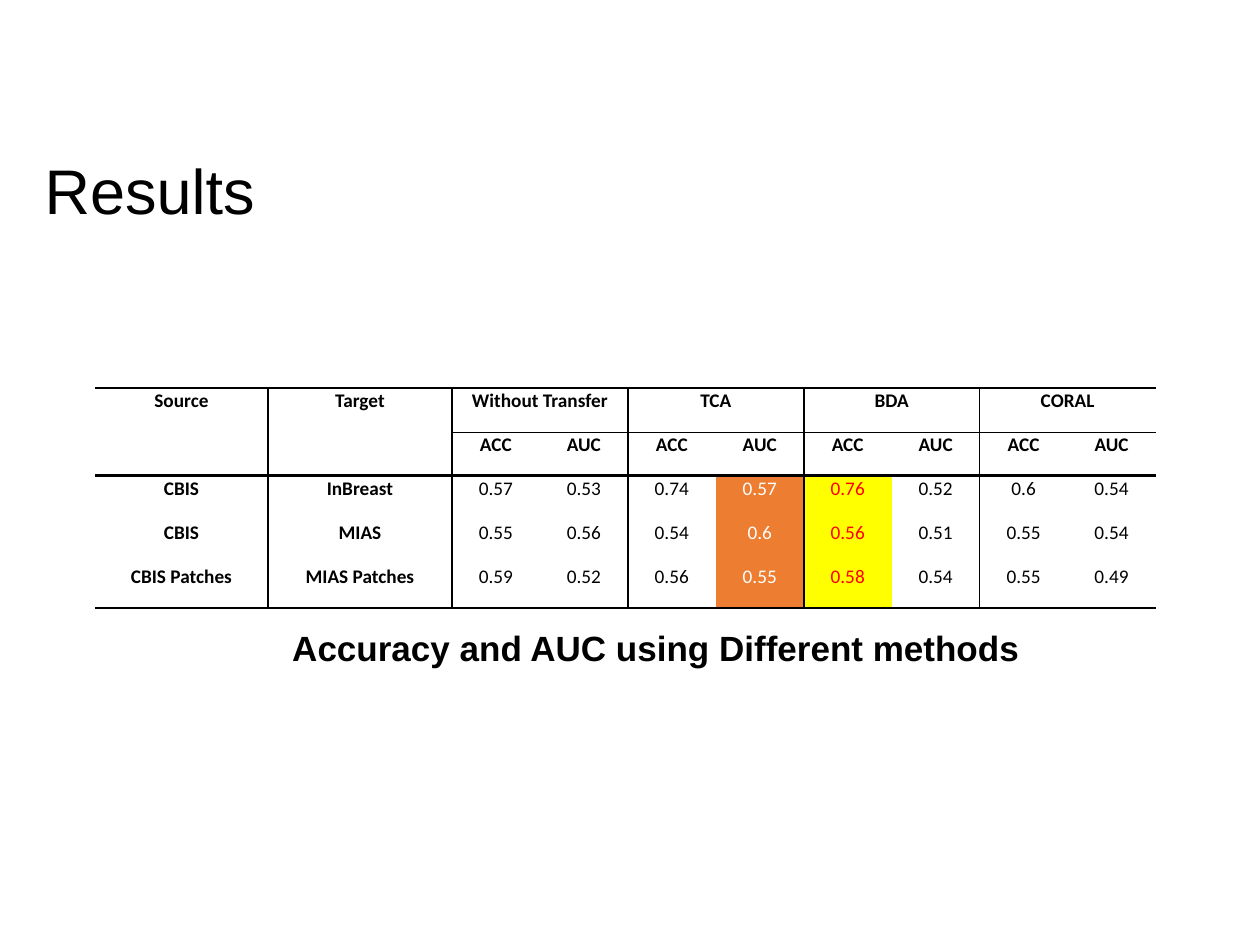
from dataclasses import dataclass

from lxml.etree import SubElement
from pptx import Presentation
from pptx.dml.color import RGBColor
from pptx.enum.text import MSO_ANCHOR, PP_ALIGN
from pptx.oxml.ns import qn
from pptx.table import Table, _Cell
from pptx.text.text import TextFrame
from pptx.util import Emu, Pt

PIXELS_PER_INCH = 126
BLACK = "000000"


@dataclass(frozen=True)
class TextStyle:
    font: str
    size: int
    color: str = BLACK
    bold: bool = False
    align: PP_ALIGN = PP_ALIGN.CENTER
    anchor: MSO_ANCHOR = MSO_ANCHOR.MIDDLE


@dataclass(frozen=True)
class Highlight:
    fill: str
    color: str


@dataclass(frozen=True)
class Result:
    source: str
    target: str
    scores: tuple[str, ...]


METHODS = ("Without Transfer", "TCA", "BDA", "CORAL")
METRICS = ("ACC", "AUC")
RESULTS = (
    Result("CBIS", "InBreast", ("0.57", "0.53", "0.74", "0.57", "0.76", "0.52", "0.6", "0.54")),
    Result("CBIS", "MIAS", ("0.55", "0.56", "0.54", "0.6", "0.56", "0.51", "0.55", "0.54")),
    Result("CBIS Patches", "MIAS Patches",
           ("0.59", "0.52", "0.56", "0.55", "0.58", "0.54", "0.55", "0.49")),
)
HEADER_ROWS = 2
LABEL_COLUMNS = 2
COLUMN_WIDTHS = (173, 184) + (88,) * len(METHODS) * len(METRICS)
ROW_HEIGHTS = (44,) * (HEADER_ROWS + len(RESULTS))
HIGHLIGHTS = {5: Highlight("ED7D31", "FFFFFF"), 6: Highlight("FFFF00", "FF0000")}
RULES_BY_COLUMN_EDGE = {edge: 1 for edge in (1, 2, 4, 6, 8)}
RULES_BY_ROW_EDGE = {0: 1.5, 1: 0.5, 2: 2, 5: 1.5}


def px(length: int) -> Emu:
    return Emu(round(length * 914400 / PIXELS_PER_INCH))


def rgb(color: str) -> RGBColor:
    return RGBColor.from_string(color)


def write(frame: TextFrame, text: str, style: TextStyle) -> None:
    frame.word_wrap = True
    frame.vertical_anchor = style.anchor
    para = frame.paragraphs[0]
    para.text = text
    para.alignment = style.align
    para.font.name = style.font
    para.font.size = Pt(style.size)
    para.font.bold = style.bold
    para.font.color.rgb = rgb(style.color)


def draw_border(cell: _Cell, position: int, side: str, width: float) -> None:
    properties = cell._tc.get_or_add_tcPr()
    line = SubElement(properties, qn(f"a:{side}"))
    properties.insert(position, line)
    if width:
        line.set("w", str(Pt(width)))
        fill = SubElement(line, qn("a:solidFill"))
        SubElement(fill, qn("a:srgbClr")).set("val", BLACK)
    else:
        SubElement(line, qn("a:noFill"))


def format_cell(cell: _Cell, row: int, column: int) -> None:
    cell.margin_left = cell.margin_right = cell.margin_top = px(1)
    cell.margin_bottom = 0
    if row >= HEADER_ROWS and column in HIGHLIGHTS:
        cell.fill.solid()
        cell.fill.fore_color.rgb = rgb(HIGHLIGHTS[column].fill)
    else:
        cell.fill.background()
    row_rules = dict(RULES_BY_ROW_EDGE)
    if column < LABEL_COLUMNS:
        row_rules[1] = 0
    widths = {
        "lnL": RULES_BY_COLUMN_EDGE.get(column, 0),
        "lnR": RULES_BY_COLUMN_EDGE.get(column + 1, 0),
        "lnT": row_rules.get(row, 0),
        "lnB": row_rules.get(row + 1, 0),
    }
    for position, (side, width) in enumerate(widths.items()):
        draw_border(cell, position, side, width)


def fill_header(table: Table, label: TextStyle, metric: TextStyle) -> None:
    for column, text in enumerate(("Source", "Target")):
        cell = table.cell(0, column)
        cell.merge(table.cell(HEADER_ROWS - 1, column))
        write(cell.text_frame, text, label)
    for index, method in enumerate(METHODS):
        first = LABEL_COLUMNS + index * len(METRICS)
        cell = table.cell(0, first)
        cell.merge(table.cell(0, first + len(METRICS) - 1))
        write(cell.text_frame, method, label)
        for offset, text in enumerate(METRICS):
            write(table.cell(1, first + offset).text_frame, text, metric)


def fill_results(table: Table, label: TextStyle) -> None:
    for row, result in enumerate(RESULTS, HEADER_ROWS):
        for column, text in enumerate((result.source, result.target)):
            write(table.cell(row, column).text_frame, text, label)
        for column, score in enumerate(result.scores, LABEL_COLUMNS):
            color = HIGHLIGHTS[column].color if column in HIGHLIGHTS else BLACK
            write(table.cell(row, column).text_frame, score, TextStyle("Calibri", 11, color))


def add_results_table(page, left: int, top: int) -> None:
    table = page.shapes.add_table(
        len(ROW_HEIGHTS), len(COLUMN_WIDTHS), px(left), px(top),
        px(sum(COLUMN_WIDTHS)), px(sum(ROW_HEIGHTS)),
    ).table
    table.first_row = table.horz_banding = False
    for column, width in zip(table.columns, COLUMN_WIDTHS):
        column.width = px(width)
    for row, height in zip(table.rows, ROW_HEIGHTS):
        row.height = px(height)
    label = TextStyle("Calibri", 11, bold=True, anchor=MSO_ANCHOR.BOTTOM)
    fill_header(table, label, TextStyle("Calibri", 11, bold=True))
    fill_results(table, label)
    for row in range(len(ROW_HEIGHTS)):
        for column in range(len(COLUMN_WIDTHS)):
            format_cell(table.cell(row, column), row, column)


def main() -> None:
    deck = Presentation()
    deck.slide_width, deck.slide_height = px(1260), px(945)
    page = deck.slides.add_slide(deck.slide_layouts.get_by_name("Title Only"))

    title = page.shapes.title
    title.left, title.top, title.width, title.height = px(32), px(158), px(1071), px(63)
    write(title.text_frame, "Results", TextStyle("Arial", 36, align=PP_ALIGN.LEFT))

    add_results_table(page, 95, 388)

    caption = page.shapes.add_textbox(px(210), px(620), px(892), px(55))
    write(caption.text_frame, "Accuracy and AUC using Different methods",
          TextStyle("Arial", 20, bold=True, anchor=MSO_ANCHOR.TOP))
    deck.save("out.pptx")


if __name__ == "__main__":
    main()
